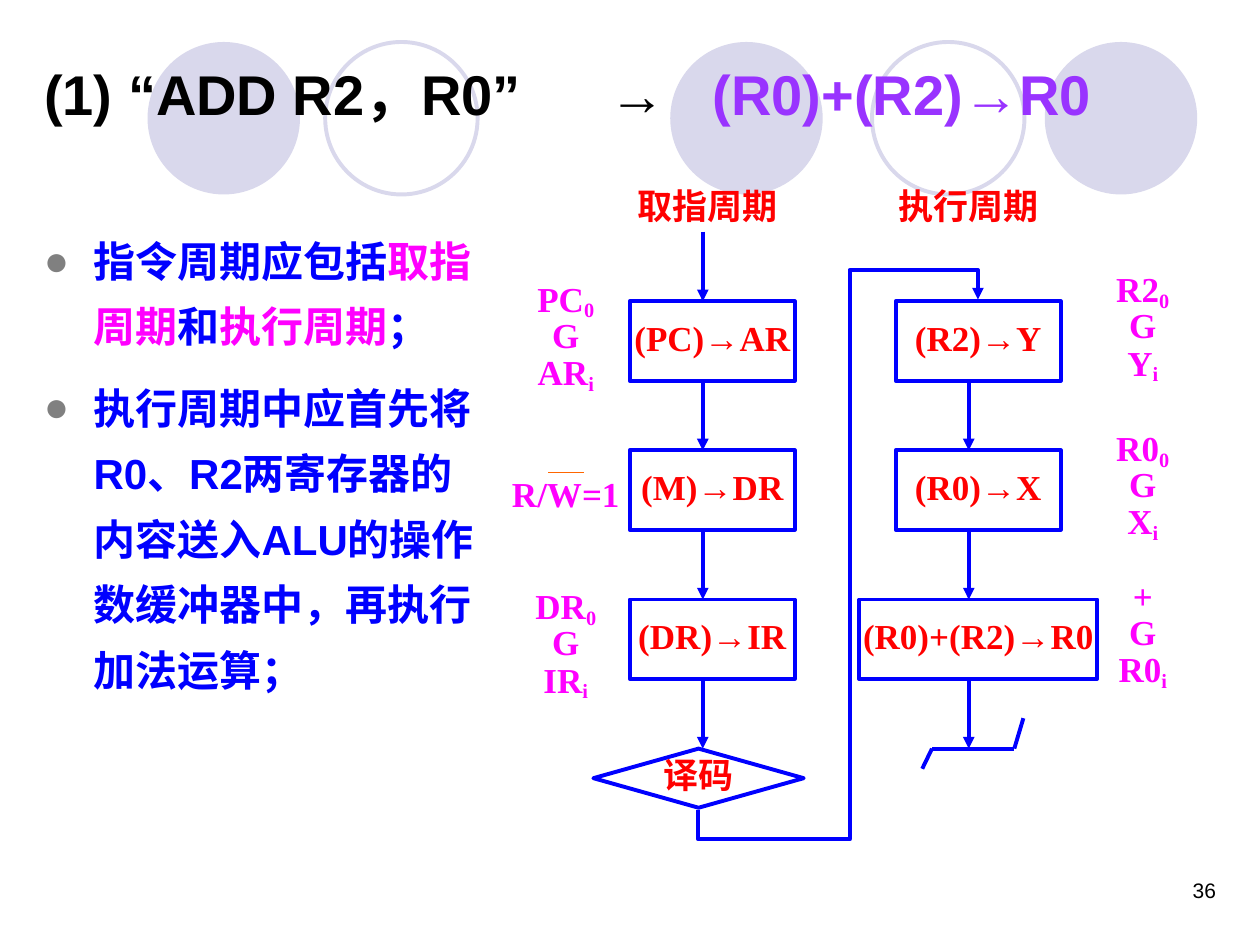
from dataclasses import dataclass
from lxml.etree import SubElement
from pptx import Presentation
from pptx.dml.color import RGBColor
from pptx.enum.shapes import MSO_CONNECTOR as LINK, MSO_SHAPE as SHAPE
from pptx.enum.text import MSO_ANCHOR as ANCHOR, PP_ALIGN as ALIGN
from pptx.oxml.ns import qn
from pptx.util import Pt


@dataclass(frozen=True)
class Theme:
    black: str = "000000"
    purple: str = "9933FF"
    blue: str = "0000FF"
    magenta: str = "FF00FF"
    red: str = "FF0000"
    orange: str = "FF6600"
    grey: str = "808080"
    lilac: str = "D9D8EC"
    sans: str = "Arial"
    serif: str = "Times New Roman"
    cjk: str = "Noto Sans CJK SC"
    title: float = 32
    body: float = 24
    step: float = 20
    number: float = 12
    stroke: float = 2.25
    hairline: float = 0.75


T = Theme()
ROW_TOP, ROW_PITCH, BOX_H = 172.2, 85.2, 45.4
LABEL_W, LABEL_H, LABEL_OFFSETS = 73.4, 62.6, (0, 90.7, 175.7)
AXIS_SHIFT = -5.4  # the arrows run slightly left of the box centres
STEP_STYLE = dict(size=T.step, font=T.serif, color=T.red)
LABEL_STYLE = dict(size=T.step, font=T.serif, color=T.magenta)


def rgb(color):
    return RGBColor.from_string(color)


def add_run(paragraph, text, size, font, color, bold=True, baseline=0):
    run = paragraph.add_run()
    run.text = text
    values = dict(size=Pt(size), name=font, bold=bold)
    for name, value in values.items():
        setattr(run.font, name, value)
    run.font.color.rgb = rgb(color)
    properties = run.font._element
    SubElement(properties, qn("a:ea"), typeface=T.cjk)
    if baseline:
        properties.set("baseline", str(baseline))


def write(shape, paragraphs, style, frame=None, **layout):
    """Fill a shape with paragraphs, each a list of (text, style changes)."""
    text_frame = shape.text_frame
    for name, value in (frame or {}).items():
        setattr(text_frame, name, value)
    for index, runs in enumerate(paragraphs):
        paragraph = text_frame.add_paragraph() if index else text_frame.paragraphs[0]
        for name, value in layout.items():
            if index or name != "space_before":
                setattr(paragraph, name, value)
        for text, changes in runs:
            add_run(paragraph, text, **{**style, **changes})
    return text_frame


def write_centred(shape, paragraphs, style):
    """Write without side margins, so that each line keeps the full width."""
    write(shape, paragraphs, style,
          dict(word_wrap=False, vertical_anchor=ANCHOR.MIDDLE, margin_left=0, margin_right=0),
          alignment=ALIGN.CENTER, line_spacing=0.8, space_before=Pt(1.2))


def add_textbox(slide, box):
    return slide.shapes.add_textbox(*map(Pt, box))


def add_outline(slide, kind, box, color=T.blue, filled=False):
    shape = slide.shapes.add_shape(kind, *map(Pt, box))
    shape.shadow.inherit = False
    if filled:
        shape.fill.solid()
        shape.fill.fore_color.rgb = rgb(color)
        shape.line.fill.background()
    else:
        shape.fill.background()
        shape.line.color.rgb = rgb(color)
        shape.line.width = Pt(T.stroke)
    return shape


def add_line(slide, start, end, color=T.blue, width=T.stroke, arrow=False, kind=LINK.STRAIGHT):
    line = slide.shapes.add_connector(kind, *map(Pt, (*start, *end)))
    line.line.color.rgb = rgb(color)
    line.line.width = Pt(width)
    if arrow:
        SubElement(line.line._get_or_add_ln(), qn("a:tailEnd"), type="triangle")
    SubElement(line._element.spPr, qn("a:effectLst"))
    return line


def add_return_path(slide, start, end, lane_x, overshoot):
    """Route down from start, up a lane between the columns and down into end."""
    rise, span = start[1] - end[1], end[0] - start[0]
    mid_x, mid_y = (start[0] + end[0]) / 2, (start[1] + end[1]) / 2
    path = add_line(slide, (mid_x + rise / 2, mid_y + span / 2),
                    (mid_x - rise / 2, mid_y - span / 2), arrow=True, kind=LINK.ELBOW)
    properties = path._element.spPr
    properties.find(qn("a:xfrm")).set("rot", "5400000")
    geometry = properties.find(qn("a:prstGeom"))
    geometry.set("prst", "bentConnector5")
    guides = geometry.find(qn("a:avLst"))
    if guides is None:
        guides = SubElement(geometry, qn("a:avLst"))
    ratios = (-overshoot / rise, (lane_x - start[0]) / span, 1 + overshoot / rise)
    for number, ratio in enumerate(ratios, 1):
        SubElement(guides, qn("a:gd"), name=f"adj{number}", fmla=f"val {round(ratio * 100000)}")


def add_circles(slide, top, size):
    for left, filled in ((383, True), (597, True), (84.3, True), (498.3, False), (185.8, False)):
        add_outline(slide, SHAPE.OVAL, (left, top, size, size), T.lilac, filled)


def add_title(slide, box):
    title = slide.shapes.title
    title.left, title.top, title.width, title.height = map(Pt, box)
    paragraph = title.text_frame.paragraphs[0]
    tabs = SubElement(paragraph._p.get_or_add_pPr(), qn("a:tabLst"))
    for stop in (323, 382):
        SubElement(tabs, qn("a:tab"), pos=str(Pt(stop)), algn="l")
    write(title, [[("(1) “ADD R2，R0”\t→\t", {}), ("(R0)+(R2)→R0", dict(color=T.purple))]],
          dict(size=T.title, font=T.sans, color=T.black),
          dict(vertical_anchor=ANCHOR.MIDDLE), alignment=ALIGN.LEFT)
    title._element.getparent().append(title._element)  # in front of the circles


def add_body(slide, box):
    key = dict(color=T.magenta)
    points = [
        [("指令周期应包括", {}), ("取指周期", key), ("和", {}), ("执行周期", key), ("；", {})],
        [("执行周期中应首先将R0、R2两寄存器的内容送入ALU的操作数缓冲器中，再执行加法运算；", {})],
    ]
    text_frame = write(add_textbox(slide, box), points,
                       dict(size=T.body, font=T.sans, color=T.blue), dict(word_wrap=True),
                       line_spacing=1.3, space_before=Pt(3), space_after=Pt(6))
    for paragraph in text_frame.paragraphs:
        properties = paragraph._p.get_or_add_pPr()
        properties.set("marL", str(Pt(28.4)))
        properties.set("indent", str(-Pt(28.4)))
        SubElement(SubElement(properties, qn("a:buClr")), qn("a:srgbClr"), val=T.grey)
        SubElement(properties, qn("a:buFont"), typeface=T.sans)
        SubElement(properties, qn("a:buChar"), char="●")


def add_cycle(slide, centre, header, header_x, steps, entry=False):
    """Stack the steps of one cycle, each (source, target, width), with arrows between."""
    axis = centre + AXIS_SHIFT
    write_centred(add_textbox(slide, (header_x - 49, 105.8, 98, 28)), [[(header, {})]],
                  dict(STEP_STYLE, font=T.cjk))
    if entry:
        add_line(slide, (axis, ROW_TOP - ROW_PITCH + BOX_H), (axis, ROW_TOP), arrow=True)
    for row, (source, target, width) in enumerate(steps):
        top = ROW_TOP + row * ROW_PITCH
        box = add_outline(slide, SHAPE.RECTANGLE, (centre - width / 2, top, width, BOX_H))
        write_centred(box, [[(source, {}), ("→", dict(font=T.sans)), (target, {})]], STEP_STYLE)
        add_line(slide, (axis, top + BOX_H), (axis, top + ROW_PITCH), arrow=True)


def add_signals(slide, left, top, labels):
    """Place the control signals beside the steps; each line is (name, subscript)."""
    for offset, lines in zip(LABEL_OFFSETS, labels):
        paragraphs = [[(name, {})] + ([(sub, dict(baseline=-16000))] if sub else [])
                      for name, sub in lines]
        write_centred(add_textbox(slide, (left, top + offset, LABEL_W, LABEL_H)),
                      paragraphs, LABEL_STYLE)


def add_flowchart(slide):
    end_y = ROW_TOP + 3 * ROW_PITCH
    add_cycle(slide, 407, "取指周期", 404.4,
              [("(PC)", "AR", 94.3), ("(M)", "DR", 94.3), ("(DR)", "IR", 94.3)], entry=True)
    add_cycle(slide, 559, "执行周期", 553.3,
              [("(R2)", "Y", 94.3), ("(R0)", "X", 94.3), ("(R0)+(R2)", "R0", 136)])
    decode = add_outline(slide, SHAPE.FLOWCHART_DECISION, (339.1, end_y, 120.2, 33.8))
    write_centred(decode, [[("译码", {})]], STEP_STYLE)
    add_return_path(slide, (399, 462.8), (558.8, 171.2), lane_x=485.4, overshoot=16.9)

    bar_left, bar_right = (532.6, end_y), (579.6, end_y)
    for start, end in ((bar_left, bar_right), (bar_right, (584.8, 410.4)), (bar_left, (527, 439.3))):
        add_line(slide, start, end)

    gate = ("G", "")
    add_signals(slide, 286.6, 162, [[("PC", "0"), gate, ("AR", "i")], [("R/W=1", "")],
                                    [("DR", "0"), gate, ("IR", "i")]])
    add_line(slide, (313.2, 270), (334, 270), T.orange, T.hairline)
    add_signals(slide, 616.3, 156.6, [[("R2", "0"), gate, ("Y", "i")], [("R0", "0"), gate, ("X", "i")],
                                      [("+", ""), gate, ("R0", "i")]])


def main():
    deck = Presentation()
    deck.slide_width, deck.slide_height = Pt(720), Pt(540)
    slide = deck.slides.add_slide(deck.slide_layouts[5])
    add_circles(slide, top=24, size=87.1)
    add_title(slide, (18, 16.6, 694.8, 73.4))
    add_body(slide, (18, 122.4, 263.5, 327.6))
    add_flowchart(slide)
    write(add_textbox(slide, (534.2, 498.2, 167.8, 36)), [[("36", {})]],
          dict(size=T.number, font=T.sans, color=T.black, bold=False),
          dict(word_wrap=True), alignment=ALIGN.RIGHT)
    deck.save("out.pptx")


if __name__ == "__main__":
    main()
